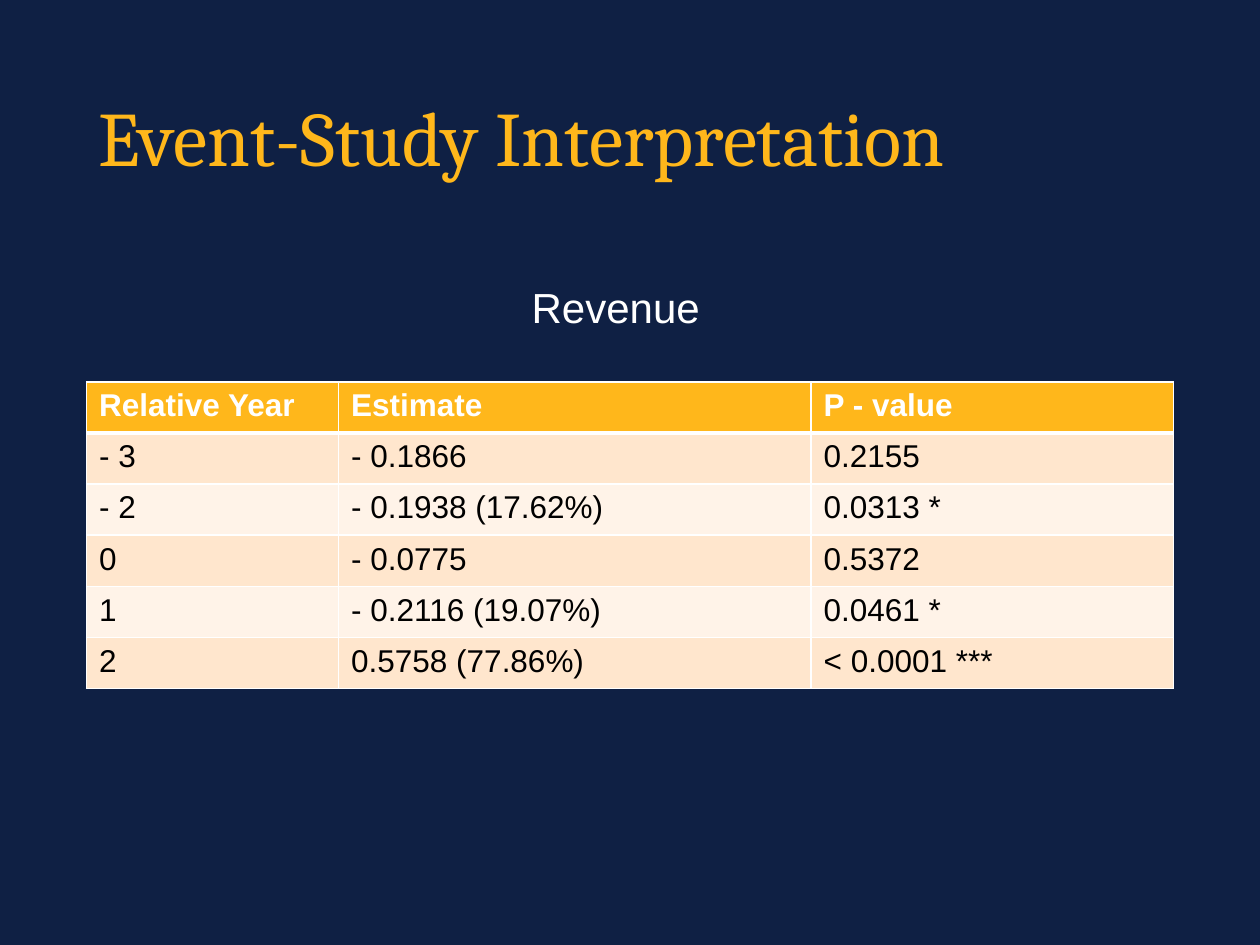
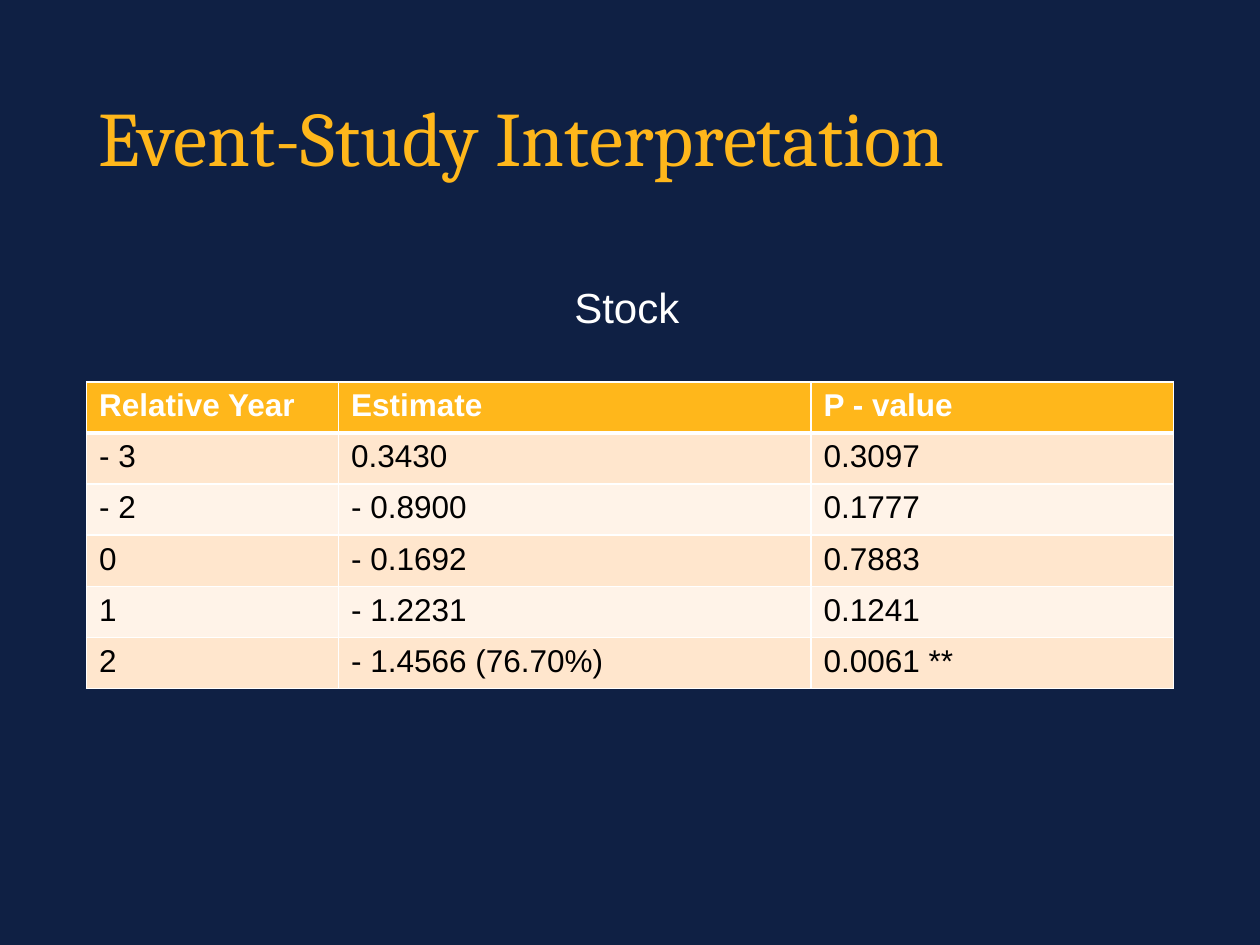
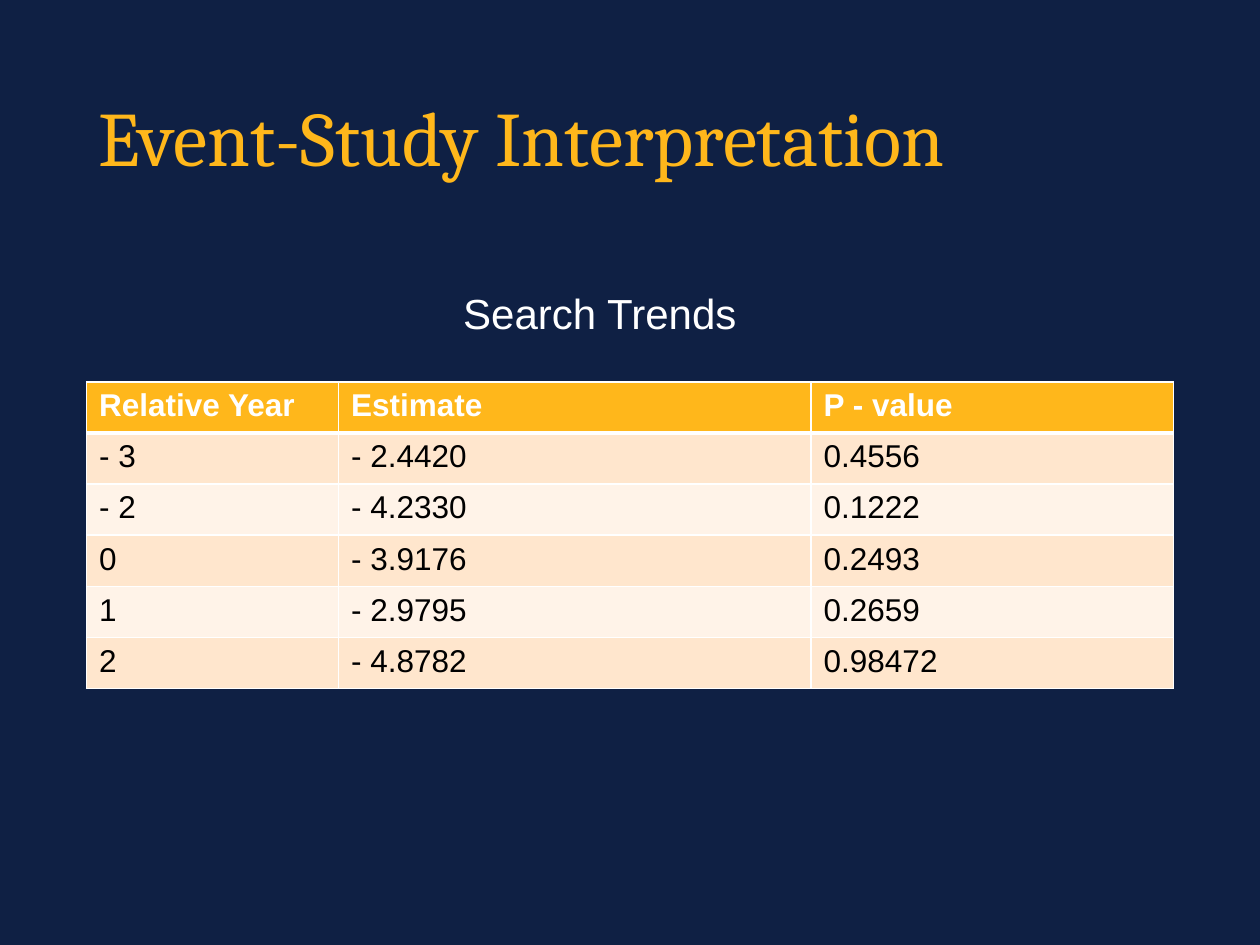
from lxml import etree
from pptx import Presentation
from pptx.dml.color import RGBColor
from pptx.enum.text import MSO_ANCHOR
from pptx.oxml.ns import qn
from pptx.util import Pt

NAVY = RGBColor(0x0F, 0x20, 0x44)
GOLD = RGBColor(0xFF, 0xB7, 0x1B)
PEACH = RGBColor(0xFF, 0xE6, 0xCD)
CREAM = RGBColor(0xFF, 0xF3, 0xE8)
WHITE = RGBColor(0xFF, 0xFF, 0xFF)
BLACK = RGBColor(0, 0, 0)

MIDDLE = MSO_ANCHOR.MIDDLE
TITLE_FONT = "Cambria"
BODY_FONT = "Arial"

TITLE = "Event-Study Interpretation"
TITLE_BOX = (49.5, 28.75, 621, 104.4)
TABLE_BOX = (49.5, 218.2, 621, 175.2)
COLUMN_SHARES = (144, 270, 207)
HEADER = ("Relative Year", "Estimate", "P - value")
YEARS = ("- 3", "- 2", "0", "1", "2")

RESULTS = [
    ("Revenue", (296.7, 157.6, 127.4, 36),
     ("- 0.1866", "- 0.1938 (17.62%)", "- 0.0775", "- 0.2116 (19.07%)", "0.5758 (77.86%)"),
     ("0.2155", "0.0313 *", "0.5372", "0.0461 *", "< 0.0001 ***")),
    ("Stock", (321.1, 157.6, 77.8, 36),
     ("0.3430", "- 0.8900", "- 0.1692", "- 1.2231", "- 1.4566 (76.70%)"),
     ("0.3097", "0.1777", "0.7883", "0.1241", "0.0061 **")),
    ("Search Trends", (257.6, 160.8, 205.2, 36),
     ("- 2.4420", "- 4.2330", "- 3.9176", "- 2.9795", "- 4.8782"),
     ("0.4556", "0.1222", "0.2493", "0.2659", "0.98472")),
]


def add_run(p, text, size, color, font=BODY_FONT, bold=False):
    r = p.add_run()
    r.text = text
    r.font.size = Pt(size)
    r.font.name = font
    r.font.bold = bold
    r.font.color.rgb = color


def add_text(s, box, text, size, color, font=BODY_FONT):
    tf = s.shapes.add_textbox(*map(Pt, box)).text_frame
    tf.word_wrap = True
    add_run(tf.paragraphs[0], text, size, color, font)
    return tf


def add_title(s, box):
    tf = add_text(s, box, TITLE, 44, GOLD, TITLE_FONT)
    tf.vertical_anchor = MIDDLE
    tf.paragraphs[0].line_spacing = 0.9


def set_borders(cell, widths):
    tc_pr = cell._tc.get_or_add_tcPr()
    for i, (side, width) in enumerate(widths.items()):
        ln = etree.Element(qn(f"a:ln{side}"), w=str(Pt(width)))
        fill = etree.SubElement(ln, qn("a:solidFill"))
        etree.SubElement(fill, qn("a:srgbClr"), val=str(WHITE))
        tc_pr.insert(i, ln)


def add_results_table(s, box, rows):
    left, top, width, height = box
    table = s.shapes.add_table(len(rows), len(HEADER), *map(Pt, box)).table
    for column, share in zip(table.columns, COLUMN_SHARES):
        column.width = Pt(width * share / sum(COLUMN_SHARES))
    for i, row in enumerate(rows):
        table.rows[i].height = Pt(height / len(rows))
        is_header = i == 0
        fill = GOLD if is_header else PEACH if i % 2 else CREAM
        borders = {"L": 1, "R": 1, "T": 3 if i == 1 else 1, "B": 3 if is_header else 1}
        for j, text in enumerate(row):
            cell = table.cell(i, j)
            cell.fill.solid()
            cell.fill.fore_color.rgb = fill
            set_borders(cell, borders)
            add_run(cell.text_frame.paragraphs[0], text, 18,
                    WHITE if is_header else BLACK, bold=is_header)


def add_results_slide(prs, caption, caption_box, estimates, p_values):
    s = prs.slides.add_slide(prs.slide_layouts[6])
    add_title(s, TITLE_BOX)
    add_results_table(s, TABLE_BOX, [HEADER, *zip(YEARS, estimates, p_values)])
    add_text(s, caption_box, caption, 24, WHITE)


def main():
    prs = Presentation()
    prs.slide_width, prs.slide_height = Pt(720), Pt(540)
    background = prs.slide_master.background.fill
    background.solid()
    background.fore_color.rgb = NAVY
    for result in RESULTS:
        add_results_slide(prs, *result)
    prs.save("out.pptx")


if __name__ == "__main__":
    main()
